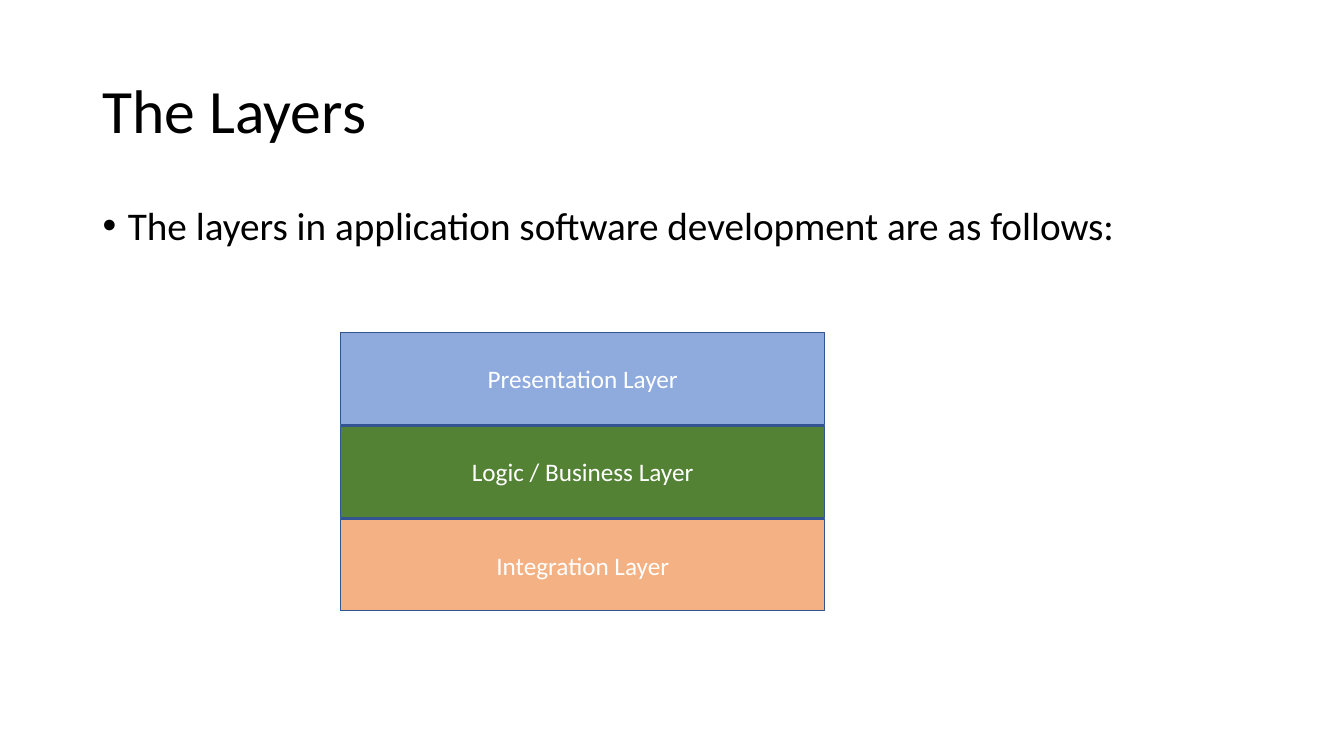
from lxml import etree
from pptx import Presentation
from pptx.dml.color import RGBColor
from pptx.enum.shapes import MSO_SHAPE
from pptx.enum.text import MSO_ANCHOR, PP_ALIGN
from pptx.oxml.ns import qn
from pptx.util import Inches, Pt

RECT = MSO_SHAPE.RECTANGLE
TOP, MIDDLE = MSO_ANCHOR.TOP, MSO_ANCHOR.MIDDLE
LEFT, CENTER = PP_ALIGN.LEFT, PP_ALIGN.CENTER

MARGIN, CONTENT_W = 0.92, 11.5
LAYER_X, LAYER_Y, LAYER_W, LAYER_H = 3.38, 3.3, 4.8, 0.91
LAYER_PITCH = 0.925
LAYERS = [
    ("Presentation Layer", "8FAADC"),
    ("Logic / Business Layer", "548235"),
    ("Integration Layer", "F4B183"),
]


def rgb(color):
    """Turn a hex string into a colour."""
    return RGBColor.from_string(color)


def write(s, text, size, color, anchor, align):
    """Put one run of text into a shape and return its paragraph."""
    tf = s.text_frame
    tf.word_wrap = True
    tf.vertical_anchor = anchor
    p = tf.paragraphs[0]
    p.alignment = align
    r = p.add_run()
    r.text = text
    r.font.name = "Calibri"
    r.font.size = Pt(size)
    r.font.color.rgb = rgb(color)
    return p


prs = Presentation()
prs.slide_width, prs.slide_height = Inches(13.33), Inches(7.5)
slide = prs.slides.add_slide(prs.slide_layouts[6])

# Title
s = slide.shapes.add_textbox(
    Inches(MARGIN), Inches(0.4), Inches(CONTENT_W), Inches(1.45))
p = write(s, "The Layers", 44, "000000", MIDDLE, LEFT)
p.line_spacing = 0.9

# Bulleted introduction
s = slide.shapes.add_textbox(
    Inches(MARGIN), Inches(2), Inches(CONTENT_W), Inches(4.76))
p = write(s, "The layers in application software development are as follows: ",
          28, "000000", TOP, LEFT)
p.line_spacing = 0.9
p.space_before = Pt(10)
pPr = p._p.get_or_add_pPr()
pPr.set("marL", str(Inches(0.25)))
pPr.set("indent", str(Inches(-0.25)))
etree.SubElement(pPr, qn("a:buFont")).set("typeface", "Arial")
etree.SubElement(pPr, qn("a:buChar")).set("char", "•")

# Stack of layers
for i, (name, color) in enumerate(LAYERS):
    s = slide.shapes.add_shape(
        RECT, Inches(LAYER_X), Inches(LAYER_Y + i * LAYER_PITCH),
        Inches(LAYER_W), Inches(LAYER_H))
    s.shadow.inherit = False
    s.fill.solid()
    s.fill.fore_color.rgb = rgb(color)
    s.line.color.rgb = rgb("325491")
    s.line.width = Pt(1)
    write(s, name, 18, "FFFFFF", MIDDLE, CENTER)

prs.save("out.pptx")
